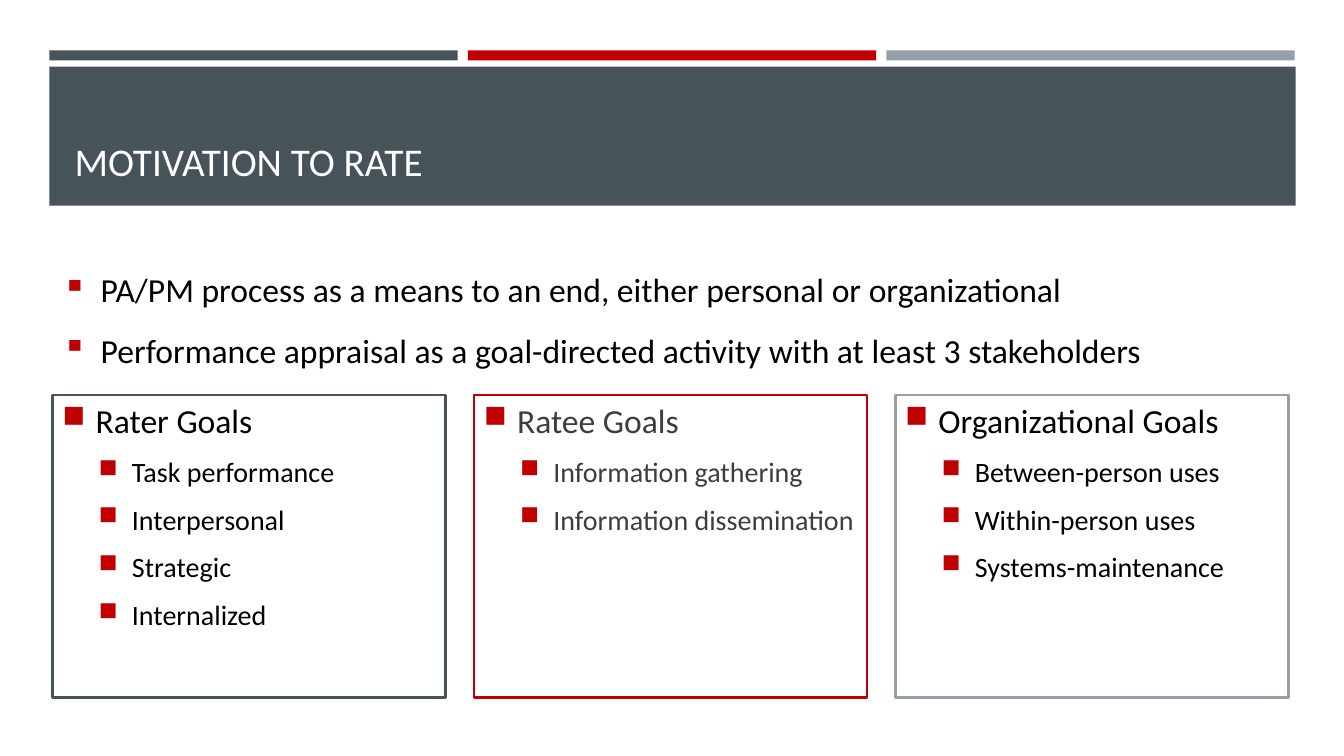
from lxml.etree import SubElement
from pptx import Presentation
from pptx.dml.color import RGBColor
from pptx.enum.shapes import MSO_SHAPE
from pptx.enum.text import MSO_ANCHOR, MSO_AUTO_SIZE, PP_ALIGN
from pptx.oxml.ns import qn
from pptx.util import Inches, Pt

theme = {
    "font": "Calibri",
    "slate": "465359", "red": "C00000", "grey": "969FA7",
    "white": "FFFFFF", "black": "000000", "charcoal": "3D3D3D",
    "title": 28, "lead": 24, "detail": 20, "outline": 1.75,
}

deck = Presentation()
deck.slide_width, deck.slide_height = Inches(13.33), Inches(7.5)
slide = deck.slides.add_slide(deck.slide_layouts[5])


def add_panel(place, fill, outline=None):
    panel = slide.shapes.add_shape(MSO_SHAPE.RECTANGLE, *map(Inches, place))
    panel.shadow.inherit = False
    panel.fill.solid()
    panel.fill.fore_color.rgb = RGBColor.from_string(theme[fill])
    if outline:
        panel.line.color.rgb = RGBColor.from_string(theme[outline])
        panel.line.width = Pt(theme["outline"])
    else:
        panel.line.fill.background()
    return panel


def write_lines(frame, lines, color):
    frame.word_wrap = True
    for number, (wording, size, spacing, bullet) in enumerate(lines):
        line = frame.add_paragraph() if number else frame.paragraphs[0]
        run = line.add_run()
        run.text = wording
        run.font.color.rgb = RGBColor.from_string(theme[color])
        for key, value in {"name": theme["font"], "size": Pt(theme[size])}.items():
            setattr(run.font, key, value)
        for key, value in {"alignment": PP_ALIGN.LEFT, **spacing}.items():
            setattr(line, key, value)
        if bullet:
            symbol, scale, indent, hanging = bullet
            settings = line._p.get_or_add_pPr()
            settings.set("marL", str(Inches(indent)))
            settings.set("indent", str(-Inches(hanging)))
            tint = SubElement(settings, qn("a:buClr"))
            SubElement(tint, qn("a:srgbClr"), val=theme["red"])
            SubElement(settings, qn("a:buSzPct"), val=str(scale * 1000))
            SubElement(settings, qn("a:buChar"), char=symbol)


accents = ["slate", "red", "grey"]
bar_left, bar_width, bar_pitch = 0.49, 4.05, 4.15
for column, accent in enumerate(accents):
    add_panel((bar_left + column * bar_pitch, 0.5, bar_width, 0.1), accent)
add_panel((bar_left, 0.66, 12.36, 1.38), "slate")

heading = slide.shapes.title
slide.shapes._spTree.append(heading._element)
for side, length in {"left": 0.64, "top": 0.8, "width": 12.06, "height": 1.08}.items():
    setattr(heading, side, Inches(length))
heading_format = {"vertical_anchor": MSO_ANCHOR.BOTTOM, "auto_size": MSO_AUTO_SIZE.NONE}
for key, value in heading_format.items():
    setattr(heading.text_frame, key, value)
write_lines(heading.text_frame, [("MOTIVATION TO RATE", "title", {}, None)], "white")

goals = [
    ("Rater Goals", "black",
     ["Task performance", "Interpersonal", "Strategic", "Internalized"]),
    ("Ratee Goals", "charcoal",
     ["Information gathering", "Information dissemination"]),
    ("Organizational Goals", "black",
     ["Between-person uses", "Within-person uses", "Systems-maintenance"]),
]
goal_left, goal_width, goal_pitch = 0.52, 3.9, 4.18
goal_spacing = {
    size: {"space_before": Pt(theme[size] * 0.2), "space_after": Pt(6)}
    for size in ("lead", "detail")
}
for column, (stakeholder, color, aims) in enumerate(goals):
    place = (goal_left + column * goal_pitch, 3.92, goal_width, 3)
    goal_box = add_panel(place, "white", accents[column])
    goal_box.text_frame.vertical_anchor = MSO_ANCHOR.TOP
    lines = [(stakeholder, "lead", goal_spacing["lead"], ("■", 92, 0.33, 0.33))]
    lines += [(aim, "detail", goal_spacing["detail"], ("■", 92, 0.69, 0.33)) for aim in aims]
    write_lines(goal_box.text_frame, lines, color)

premises = [
    "PA/PM process as a means to an end, either personal or organizational",
    "Performance appraisal as a goal-directed activity with at least 3 stakeholders",
]
premise_box = slide.shapes.add_textbox(*map(Inches, (goal_left, 2.42, 12.18, 1.24)))
write_lines(
    premise_box.text_frame,
    [(premise, "lead", {"line_spacing": 1.5}, ("▪", 100, 0.38, 0.38)) for premise in premises],
    "black",
)

deck.save("out.pptx")
